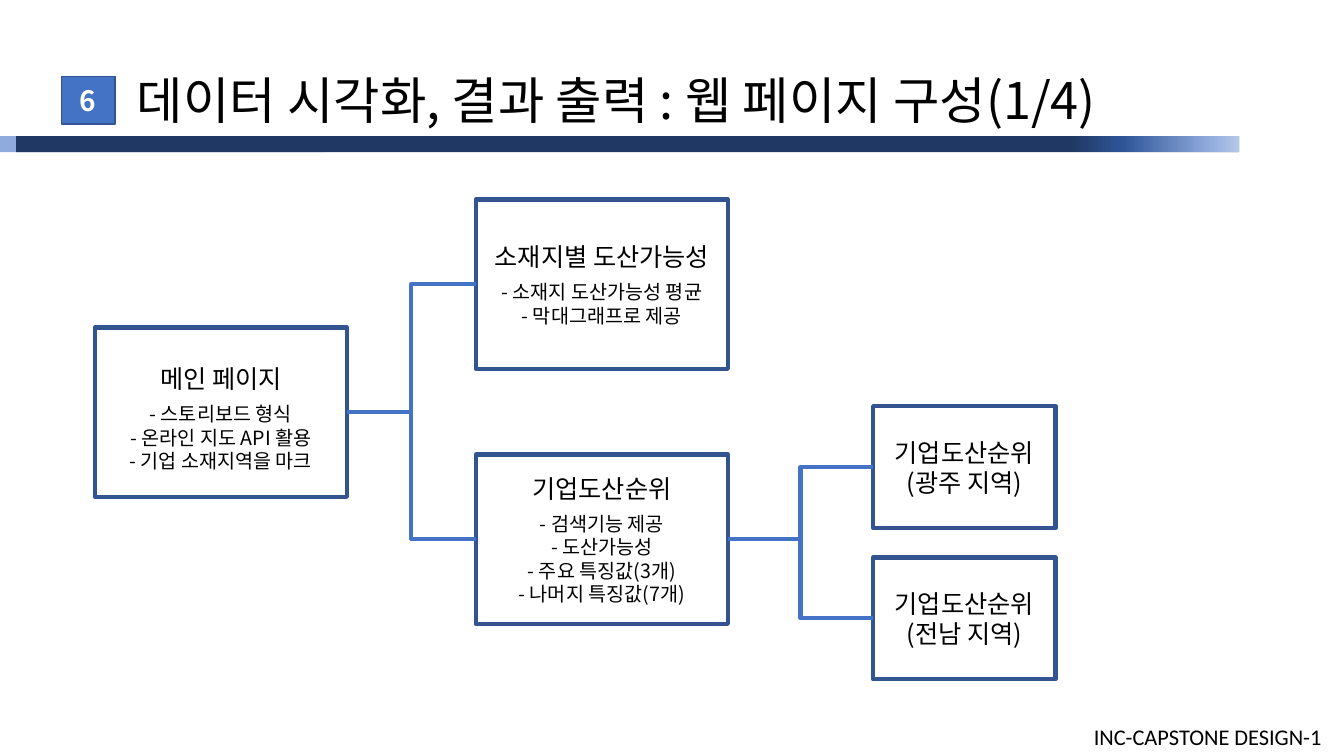
from dataclasses import dataclass
from typing import Optional

from lxml import etree
from pptx import Presentation
from pptx.dml.color import RGBColor
from pptx.enum.shapes import MSO_CONNECTOR, MSO_SHAPE
from pptx.enum.text import MSO_ANCHOR, PP_ALIGN
from pptx.oxml.ns import qn
from pptx.shapes.autoshape import Shape
from pptx.slide import Slide
from pptx.util import Inches, Pt

RECTANGLE = MSO_SHAPE.RECTANGLE
ELBOW = MSO_CONNECTOR.ELBOW
MIDDLE, TOP = MSO_ANCHOR.MIDDLE, MSO_ANCHOR.TOP
CENTER, LEFT = PP_ALIGN.CENTER, PP_ALIGN.LEFT
LEFT_SIDE, RIGHT_SIDE = 1, 3

BLACK = RGBColor(0x00, 0x00, 0x00)
WHITE = RGBColor(0xFF, 0xFF, 0xFF)
BLUE = RGBColor(0x44, 0x72, 0xC4)
OUTLINE = RGBColor(0x32, 0x54, 0x91)
LIGHT_BLUE = RGBColor(0x8F, 0xAA, 0xDC)
NAVY = RGBColor(0x20, 0x38, 0x64)
FADE_STOPS = ((0, "B4C7E7"), (18, "8FAADC"), (69, "2F5597"), (100, "203864"))

KOREAN_FONT = "Noto Sans CJK KR"
LATIN_FONT = "Calibri"
LINE_HEIGHT = 1.2


@dataclass(frozen=True)
class Box:
    left: float
    top: float
    width: float
    height: float


@dataclass(frozen=True)
class Page:
    box: Box
    headings: tuple[str, ...]
    details: tuple[str, ...] = ()
    text_drop: float = 0


PAGES = {
    "main": Page(
        Box(0.94, 3.25, 2.5, 1.68), ("메인 페이지",),
        ("- 스토리보드 형식", "- 온라인 지도 API 활용", "- 기업 소재지역을 마크"), 0.11),
    "location": Page(
        Box(4.72, 1.98, 2.5, 1.68), ("소재지별 도산가능성",),
        ("- 소재지 도산가능성 평균", "- 막대그래프로 제공")),
    "ranking": Page(
        Box(4.72, 4.51, 2.5, 1.68), ("기업도산순위",),
        ("- 검색기능 제공", "- 도산가능성", "- 주요 특징값(3개)", "- 나머지 특징값(7개)")),
    "gwangju": Page(Box(8.66, 4.03, 1.81, 1.21), ("기업도산순위", "(광주 지역)")),
    "jeonnam": Page(Box(8.66, 5.53, 1.81, 1.21), ("기업도산순위", "(전남 지역)")),
}
LINKS = (("main", "ranking"), ("main", "location"),
         ("ranking", "gwangju"), ("ranking", "jeonnam"))


def place(box: Box) -> tuple:
    return tuple(Inches(n) for n in (box.left, box.top, box.width, box.height))


def add_rectangle(slide: Slide, box: Box, fill: Optional[RGBColor] = None,
                  line_width: float = 0) -> Shape:
    shape = slide.shapes.add_shape(RECTANGLE, *place(box))
    shape.shadow.inherit = False
    if fill is None:
        shape.fill.background()
    else:
        shape.fill.solid()
        shape.fill.fore_color.rgb = fill
    if line_width:
        shape.line.color.rgb = OUTLINE
        shape.line.width = Pt(line_width)
    else:
        shape.line.fill.background()
    return shape


def set_frame(shape: Shape, **values) -> None:
    for name, value in values.items():
        setattr(shape.text_frame, name, value)


def write_line(shape: Shape, text: str, size: float, color: RGBColor = BLACK,
               align: PP_ALIGN = CENTER, font: str = KOREAN_FONT,
               bold: bool = False, space_before: float = 0) -> None:
    """Write into the first paragraph while it is empty, else append one."""
    frame = shape.text_frame
    paragraph = frame.add_paragraph() if frame.text else frame.paragraphs[0]
    paragraph_format = {"alignment": align, "space_before": Pt(space_before),
                        "line_spacing": Pt(round(size * LINE_HEIGHT, 1))}
    for name, value in paragraph_format.items():
        setattr(paragraph, name, value)
    run = paragraph.add_run()
    run.text = text
    for name, value in {"name": font, "size": Pt(size), "bold": bold}.items():
        setattr(run.font, name, value)
    run.font.color.rgb = color
    # Hangul takes its typeface from the East Asian slot
    east_asian = etree.SubElement(run.font._element, qn("a:ea"))
    east_asian.set("typeface", font)


def add_label(slide: Slide, box: Box, text: str, size: float, font: str) -> None:
    label = slide.shapes.add_textbox(*place(box))
    set_frame(label, word_wrap=True, vertical_anchor=TOP)
    write_line(label, text, size, align=LEFT, font=font)


def fade(shape: Shape) -> None:
    shape.fill.gradient()
    shape.fill.gradient_angle = 180
    stops = shape._element.spPr.find(f".//{qn('a:gsLst')}")
    stops.clear()
    for percent, color in FADE_STOPS:
        stop = etree.SubElement(stops, qn("a:gs"), pos=str(percent * 1000))
        etree.SubElement(stop, qn("a:srgbClr"), val=color)


def add_page(slide: Slide, page: Page) -> Shape:
    shape = add_rectangle(slide, page.box, line_width=3)
    set_frame(shape, word_wrap=True, vertical_anchor=MIDDLE,
              margin_top=Inches(0.05 + page.text_drop))
    for heading in page.headings:
        write_line(shape, heading, 18)
    for index, detail in enumerate(page.details):
        write_line(shape, detail, 14, space_before=0 if index else 6)
    return shape


def link_pages(slide: Slide, parent: Shape, child: Shape) -> None:
    connector = slide.shapes.add_connector(ELBOW, 0, 0, 0, 0)
    connector.begin_connect(parent, RIGHT_SIDE)
    connector.end_connect(child, LEFT_SIDE)
    connector.line.color.rgb = BLUE
    connector.line.width = Pt(3)
    etree.SubElement(connector._element.spPr, qn("a:effectLst"))


def main() -> None:
    presentation = Presentation()
    presentation.slide_width = Inches(13.33)
    presentation.slide_height = Inches(7.5)
    slide = presentation.slides.add_slide(presentation.slide_layouts[6])

    # Band under the title, and the footer
    add_rectangle(slide, Box(0, 1.35, 3.22, 0.16), LIGHT_BLUE)
    add_rectangle(slide, Box(0.16, 1.35, 12.13, 0.16), NAVY)
    fade(add_rectangle(slide, Box(10.62, 1.35, 1.67, 0.16), NAVY))
    add_label(slide, Box(10.75, 7.13, 2.58, 0.37), "INC-CAPSTONE DESIGN-1", 16, LATIN_FONT)

    # Title with its number
    add_label(slide, Box(1.26, 0.64, 11.2, 0.71),
              "데이터 시각화, 결과 출력 : 웹 페이지 구성(1/4)", 36, KOREAN_FONT)
    badge = add_rectangle(slide, Box(0.61, 0.76, 0.53, 0.47), BLUE, 1)
    set_frame(badge, vertical_anchor=MIDDLE)
    write_line(badge, "6", 20, WHITE, bold=True)

    # Site map
    shapes = {name: add_page(slide, page) for name, page in PAGES.items()}
    for parent, child in LINKS:
        link_pages(slide, shapes[parent], shapes[child])

    presentation.save("out.pptx")


if __name__ == "__main__":
    main()
